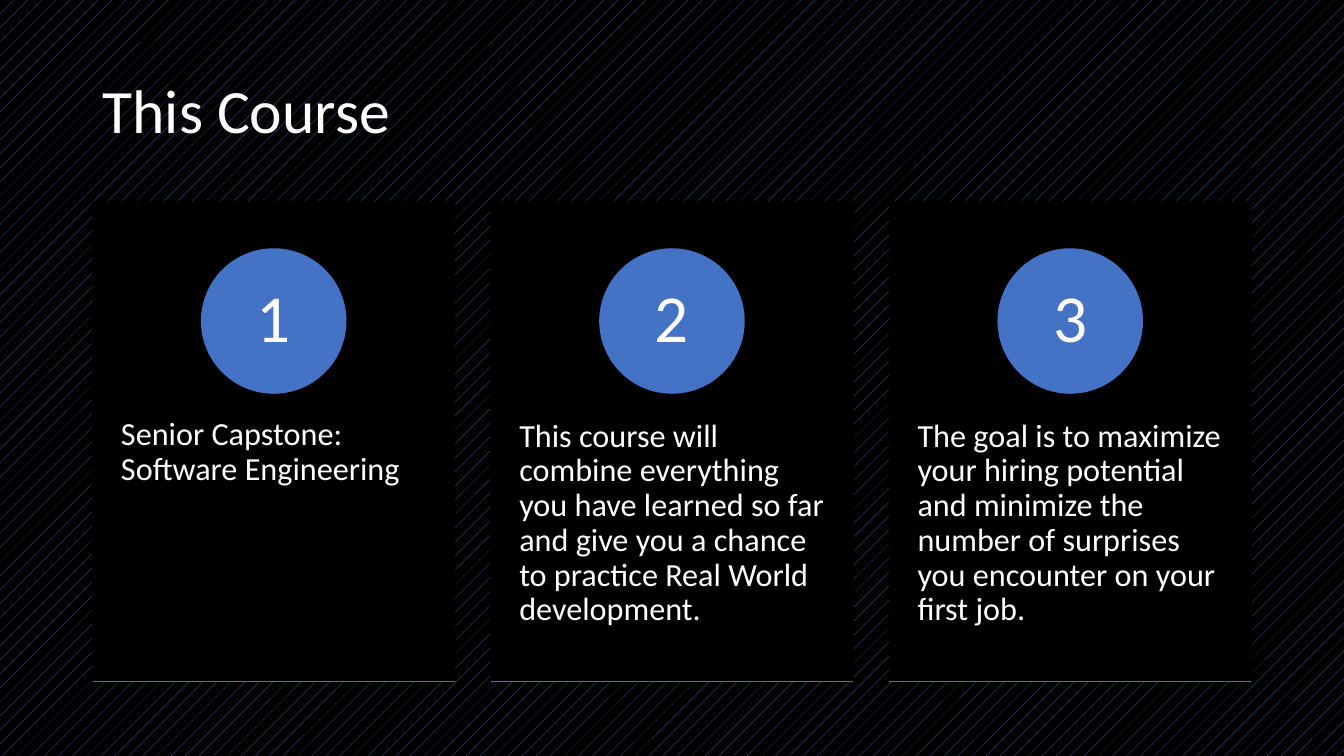
import pptx
import pptx.util
import pptx.dml.color
import pptx.enum.dml
import pptx.enum.shapes
import pptx.enum.text
import pptx.oxml.ns
from lxml import etree
from pptx.util import Inches

TITLE = "This Course"
CARDS = [
    "Senior Capstone: Software Engineering",
    "This course will combine everything you have learned so far and give "
    "you a chance to practice Real World development.",
    "The goal is to maximize your hiring potential and minimize the number "
    "of surprises you encounter on your first job.",
]
BLACK, BLUE, WHITE = "000000", "4472C4", "FFFFFF"
FONT = "Calibri"

LEFT, TOP = 0.92, 2
CARD_W, CARD_H, STEP = 3.59, 4.76, 3.95
CIRCLE, CIRCLE_TOP = 1.43, 2.47
BODY_TOP, BODY_H = 3.8, 2.86

SHAPE = pptx.enum.shapes.MSO_SHAPE
ALIGN = pptx.enum.text.PP_ALIGN
ANCHOR = pptx.enum.text.MSO_ANCHOR


def rgb(value):
    return pptx.dml.color.RGBColor.from_string(value)


def set_text(sp, text, size, align=ALIGN.LEFT, anchor=ANCHOR.TOP, inset=(0.1, 0.05)):
    """Fill a shape with one paragraph; inset is (horizontal, vertical) in inches."""
    tf = sp.text_frame
    tf.word_wrap = True
    tf.vertical_anchor = anchor
    tf.margin_left = tf.margin_right = Inches(inset[0])
    tf.margin_top = tf.margin_bottom = Inches(inset[1])
    p = tf.paragraphs[0]
    p.alignment = align
    p.line_spacing = 0.9
    r = p.add_run()
    r.text = text
    r.font.name = FONT
    r.font.size = pptx.util.Pt(size)
    r.font.color.rgb = rgb(WHITE)


def add_box(s, kind, x, y, w, h, color):
    sp = s.shapes.add_shape(kind, Inches(x), Inches(y), Inches(w), Inches(h))
    sp.shadow.inherit = False
    sp.fill.solid()
    sp.fill.fore_color.rgb = rgb(color)
    sp.line.color.rgb = rgb(color)
    sp.line.width = pptx.util.Pt(1)
    return sp


def add_textbox(s, x, y, w, h):
    return s.shapes.add_textbox(Inches(x), Inches(y), Inches(w), Inches(h))


def add_rule(s, x, y, w):
    line = s.shapes.add_connector(
        pptx.enum.shapes.MSO_CONNECTOR.STRAIGHT,
        Inches(x), Inches(y), Inches(x + w), Inches(y))
    line.line.color.rgb = rgb(BLUE)
    line.line.width = pptx.util.Pt(1)
    etree.SubElement(line._element.spPr, pptx.oxml.ns.qn("a:effectLst"))


def add_card(s, number, text, x):
    add_box(s, SHAPE.RECTANGLE, x, TOP, CARD_W, CARD_H, BLACK)
    body = add_textbox(s, x, BODY_TOP, CARD_W, BODY_H)
    set_text(body, text, 23, inset=(0.28, 0.36))
    circle = add_box(s, SHAPE.OVAL, x + (CARD_W - CIRCLE) / 2, CIRCLE_TOP,
                     CIRCLE, CIRCLE, BLUE)
    set_text(circle, str(number), 48, align=ALIGN.CENTER,
             anchor=ANCHOR.MIDDLE, inset=(0.11, 0.01))
    add_rule(s, x, TOP + CARD_H, CARD_W)


def main():
    prs = pptx.Presentation()
    prs.slide_width, prs.slide_height = Inches(13.33), Inches(7.5)
    s = prs.slides.add_slide(prs.slide_layouts[6])

    fill = s.background.fill
    fill.patterned()
    fill.pattern = pptx.enum.dml.MSO_PATTERN.PERCENT_5
    fill.fore_color.rgb = rgb(BLUE)
    fill.back_color.rgb = rgb(BLACK)

    title = add_textbox(s, LEFT, 0.4, 11.5, 1.45)
    set_text(title, TITLE, 44, anchor=ANCHOR.MIDDLE)
    for i, text in enumerate(CARDS):
        add_card(s, i + 1, text, LEFT + i * STEP)

    prs.save("out.pptx")


if __name__ == "__main__":
    main()
